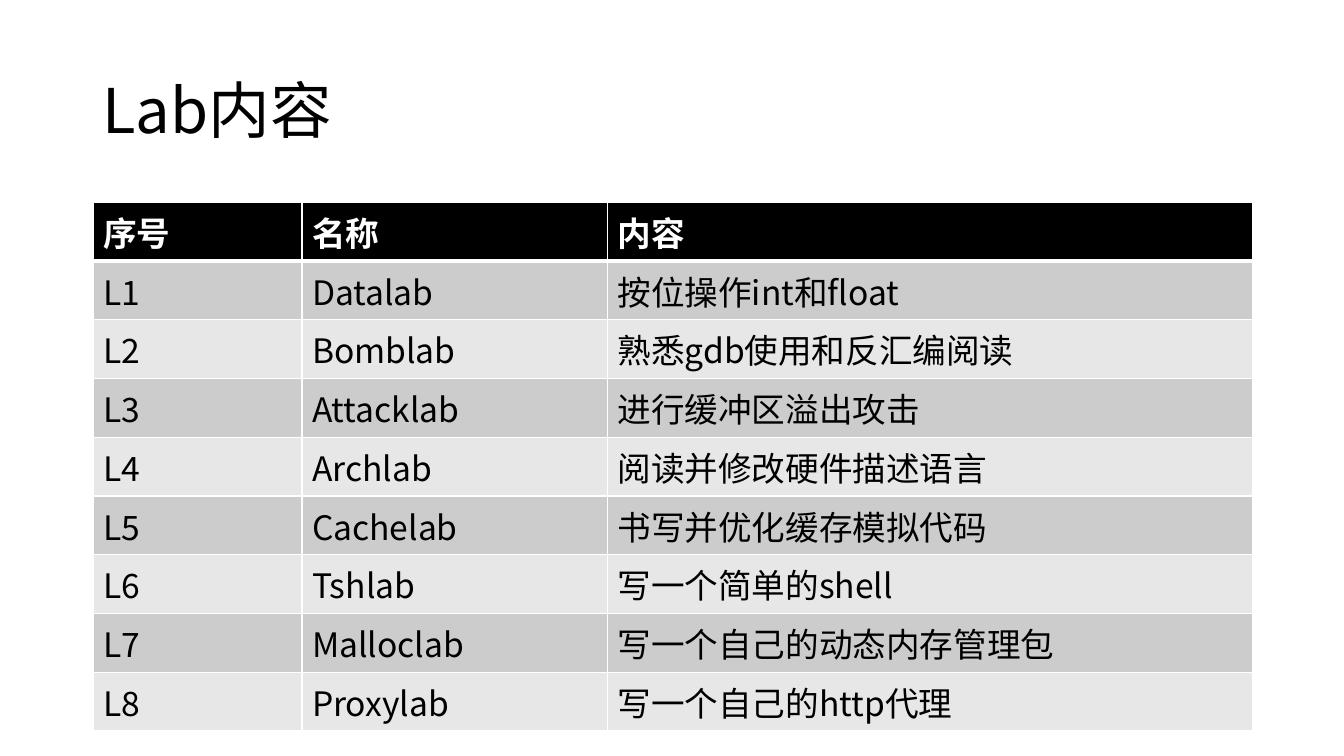
from lxml import etree
from pptx import Presentation
from pptx.dml.color import RGBColor
from pptx.enum.text import MSO_ANCHOR
from pptx.oxml.ns import qn
from pptx.util import Cm, Pt

MIDDLE = MSO_ANCHOR.MIDDLE
FONT = "Noto Sans CJK SC"
BLACK, WHITE = "000000", "FFFFFF"
DARK, LIGHT = "CCCCCC", "E7E7E7"


def style(para, size, color, bold=False):
    """Set font, size and colour on each run of a paragraph."""
    for run in para.runs:
        font = run.font
        font.name, font.size, font.bold = FONT, Pt(size), bold
        font.color.rgb = RGBColor.from_string(color)
        east = etree.SubElement(font._element, qn("a:ea"))
        east.set("typeface", FONT)


def border(cell, side, width):
    """Draw one white border of a cell, its width in points."""
    props = cell._tc.get_or_add_tcPr()
    line = etree.SubElement(props, qn("a:ln" + side), w=str(Pt(width)))
    fill = etree.SubElement(line, qn("a:solidFill"))
    etree.SubElement(fill, qn("a:srgbClr"), val=WHITE)


deck = Presentation()
deck.slide_width, deck.slide_height = Cm(33.87), Cm(19.05)
slide = deck.slides.add_slide(deck.slide_layouts[6])

# Title
title = slide.shapes.add_textbox(Cm(2.33), Cm(1.01), Cm(29.21), Cm(3.68))
frame = title.text_frame
frame.word_wrap = True
frame.vertical_anchor = MIDDLE
frame.text = "Lab内容"
frame.paragraphs[0].line_spacing = 0.9
style(frame.paragraphs[0], 44, BLACK)

# Lab table
labs = [
    ("Datalab", "按位操作int和float"),
    ("Bomblab", "熟悉gdb使用和反汇编阅读"),
    ("Attacklab", "进行缓冲区溢出攻击"),
    ("Archlab", "阅读并修改硬件描述语言"),
    ("Cachelab", "书写并优化缓存模拟代码"),
    ("Tshlab", "写一个简单的shell"),
    ("Malloclab", "写一个自己的动态内存管理包"),
    ("Proxylab", "写一个自己的http代理"),
]
rows = [("序号", "名称", "内容")]
rows += [(f"L{num}", *lab) for num, lab in enumerate(labs, 1)]
widths = [5.26, 7.7, 16.25]
height = 1.48

table = slide.shapes.add_table(
    len(rows), len(widths), Cm(2.35), Cm(5.1),
    Cm(sum(widths)), Cm(height * len(rows))).table
for col, width in zip(table.columns, widths):
    col.width = Cm(width)

for r, row in enumerate(rows):
    table.rows[r].height = Cm(height)
    head = r == 0
    shade = BLACK if head else DARK if r % 2 else LIGHT
    for c, text in enumerate(row):
        cell = table.cell(r, c)
        for side in "LRTB":
            thick = (head and side == "B") or (r == 1 and side == "T")
            border(cell, side, 3 if thick else 1)
        cell.fill.solid()
        cell.fill.fore_color.rgb = RGBColor.from_string(shade)
        cell.text_frame.text = text
        style(cell.text_frame.paragraphs[0], 24, WHITE if head else BLACK, head)

deck.save("out.pptx")
